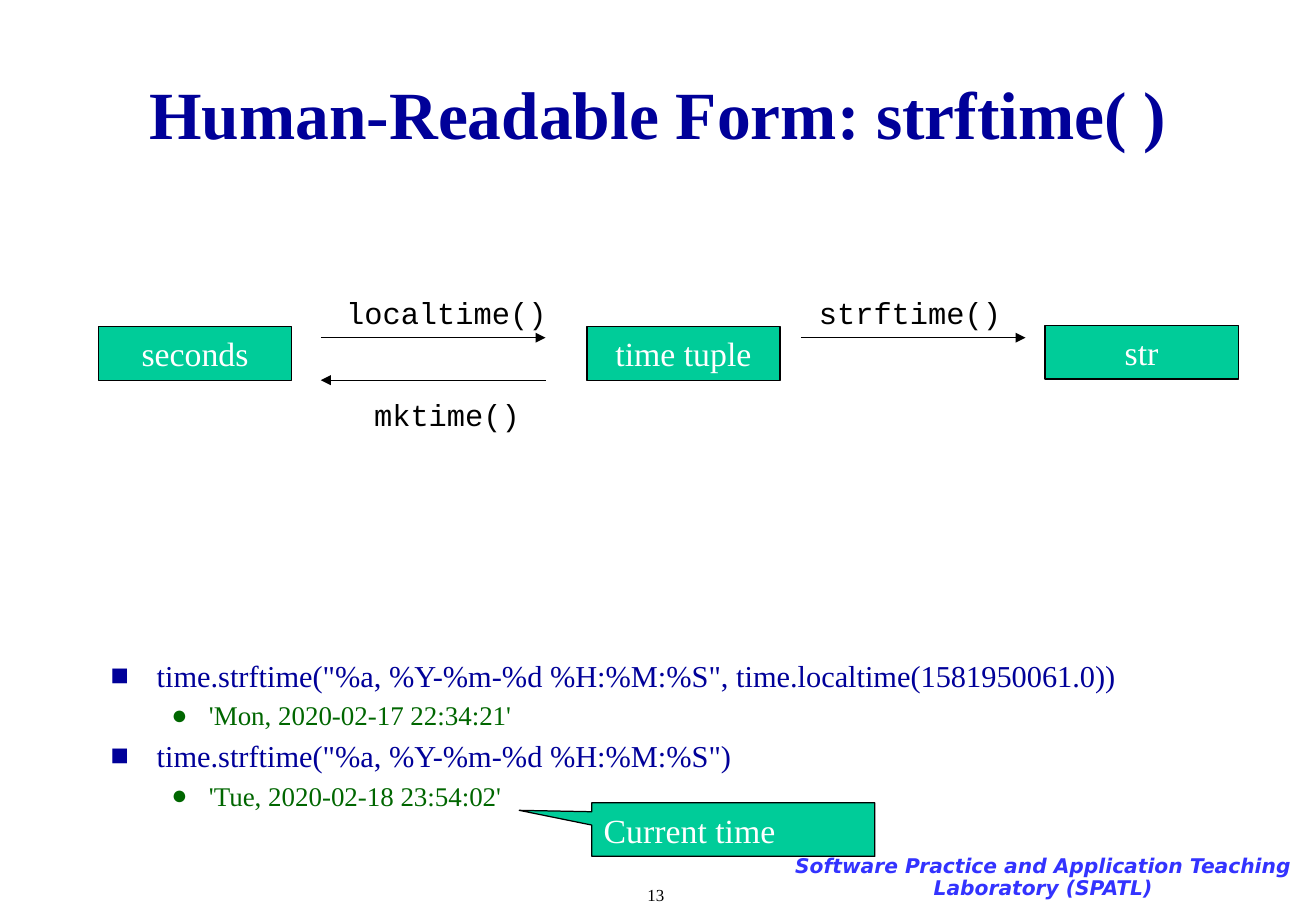
from lxml import etree
from pptx import Presentation
from pptx.dml.color import RGBColor
from pptx.enum.shapes import MSO_CONNECTOR, MSO_SHAPE
from pptx.enum.text import MSO_ANCHOR, MSO_AUTO_SIZE, PP_ALIGN
from pptx.oxml.ns import qn
from pptx.util import Inches, Pt

LEFT, CENTER = PP_ALIGN.LEFT, PP_ALIGN.CENTER
MIDDLE, TOP = MSO_ANCHOR.MIDDLE, MSO_ANCHOR.TOP
NO_AUTOSIZE = MSO_AUTO_SIZE.NONE
RECT, CALLOUT = MSO_SHAPE.RECTANGLE, MSO_SHAPE.RECTANGULAR_CALLOUT
STRAIGHT = MSO_CONNECTOR.STRAIGHT
SERIF, MONO, SANS = "Times New Roman", "Courier New", "DejaVu Sans"
COLORS = {"navy": "000099", "green": "006600", "teal": "00CC99",
          "blue": "3333FF", "black": "000000", "white": "FFFFFF"}

# Content
TITLE = "Human-Readable Form: strftime( )"
EXAMPLES = [
    (0, 'time.strftime("%a, %Y-%m-%d %H:%M:%S", time.localtime(1581950061.0))'),
    (1, "'Mon, 2020-02-17 22:34:21'"),
    (0, 'time.strftime("%a, %Y-%m-%d %H:%M:%S")'),
    (1, "'Tue, 2020-02-18 23:54:02'"),
]
LEVELS = [  # bullet, size, colour, left margin, hanging indent
    ("■", 18, "navy", 0.38, 0.38),
    ("●", 16, "green", 0.81, 0.31),
]
PAGE = "13"
LAB = "Software Practice and Application Teaching Laboratory (SPATL)"

# Diagram geometry in inches
MARGIN, CONTENT_W = 0.81, 9.21
BOX_W, BOX_H, BOX_Y = 1.59, 0.44, 2.69
ARROW_W, UPPER_Y, LOWER_Y = 1.85, 2.78, 3.13
LABEL_H, LABEL_ABOVE, LABEL_BELOW = 0.4, 2.37, 3.21
FORMS = [("seconds", MARGIN, BOX_Y), ("time tuple", 4.83, BOX_Y),
         ("str", 8.6, BOX_Y - 0.01)]
CONVERSIONS = [  # function, label left, top, width, arrow start, end, height
    ("localtime()", 2.75, LABEL_ABOVE, 1.86, 2.64, 2.64 + ARROW_W, UPPER_Y),
    ("strftime()", 6.64, LABEL_ABOVE, 1.71, 6.59, 6.59 + ARROW_W, UPPER_Y),
    ("mktime()", 2.98, LABEL_BELOW, 1.41, 2.64 + ARROW_W, 2.64, LOWER_Y),
]

prs = Presentation()
prs.slide_width, prs.slide_height = Inches(10.83), Inches(7.5)
slide = prs.slides.add_slide(prs.slide_layouts[1])
shapes = slide.shapes


def rgb(color):
    return RGBColor.from_string(COLORS[color])


def write(paragraph, text, size, color, font=SERIF, align=LEFT, **style):
    run = paragraph.add_run()
    run.text = text
    paragraph.alignment = align
    run.font.color.rgb = rgb(color)
    for key, value in {"name": font, "size": Pt(size), **style}.items():
        setattr(run.font, key, value)


def place(shape, left, top, width, height):
    bounds = {"left": left, "top": top, "width": width, "height": height}
    for key, value in bounds.items():
        setattr(shape, key, Inches(value))


def frame_of(shape, anchor=TOP, wrap=True):
    frame = shape.text_frame
    settings = {"auto_size": NO_AUTOSIZE, "word_wrap": wrap, "vertical_anchor": anchor}
    for key, value in settings.items():
        setattr(frame, key, value)
    return frame


def add_label(text, bounds, size, color, wrap=False, **style):
    label = shapes.add_textbox(*map(Inches, bounds))
    frame = frame_of(label, wrap=wrap)
    write(frame.paragraphs[0], text, size, color, **style)
    return frame


def add_box(kind, text, bounds, align):
    box = shapes.add_shape(kind, *map(Inches, bounds))
    box.shadow.inherit = False
    box.fill.solid()
    box.fill.fore_color.rgb = rgb("teal")
    box.line.color.rgb = rgb("black")
    box.line.width = Pt(0.75)
    write(frame_of(box, MIDDLE).paragraphs[0], text, 20, "white", align=align)
    return box


def add_arrow(start, end, y):
    arrow = shapes.add_connector(STRAIGHT, *map(Inches, (start, y, end, y)))
    arrow.line.color.rgb = rgb("black")
    arrow.line.width = Pt(0.75)
    etree.SubElement(arrow.line._get_or_add_ln(), qn("a:tailEnd"), type="triangle")
    etree.SubElement(arrow._element.spPr, qn("a:effectLst"))


# Footer
add_label(PAGE, (5.23, 7.23, 0.36, 0.27), 10, "black")
footer = add_label(LAB, (6.35, 6.98, 4.47, 0.5), 12, "blue", wrap=True,
                   font=SANS, align=CENTER, bold=True, italic=True)
footer.paragraphs[0].line_spacing = 0.9
footer.margin_left = footer.margin_right = Inches(0.13)
footer.margin_top = footer.margin_bottom = Inches(0.07)

# Title
title = shapes.title
place(title, MARGIN, 0.44, CONTENT_W, 0.97)
write(frame_of(title, MIDDLE).paragraphs[0], TITLE, 40, "navy",
      align=CENTER, bold=True)

# Examples with their results
body = slide.placeholders[1]
place(body, MARGIN, 5.36, CONTENT_W, 1.55)
examples = frame_of(body)
for index, (level, text) in enumerate(EXAMPLES):
    bullet, size, color, margin, hanging = LEVELS[level]
    paragraph = examples.add_paragraph() if index else examples.paragraphs[0]
    paragraph.level = level
    paragraph.space_before = Pt(size * 0.2)
    write(paragraph, text, size, color)
    props = paragraph._p.get_or_add_pPr()
    props.set("marL", str(Inches(margin)))
    props.set("indent", str(-Inches(hanging)))
    etree.SubElement(props, qn("a:buFont"), typeface=SERIF)
    etree.SubElement(props, qn("a:buChar"), char=bullet)

# Note on the last result
note = add_box(CALLOUT, "Current time", (4.87, 6.61, 2.33, BOX_H), LEFT)
note.adjustments[0], note.adjustments[1] = -0.756, -0.359

# Time forms and the functions that convert between them
for form, left, top in FORMS:
    add_box(RECT, form, (left, top, BOX_W, BOX_H), CENTER)
for function, left, top, width, start, end, y in CONVERSIONS:
    add_arrow(start, end, y)
    add_label(function, (left, top, width, LABEL_H), 18, "black", font=MONO)

prs.save("out.pptx")
